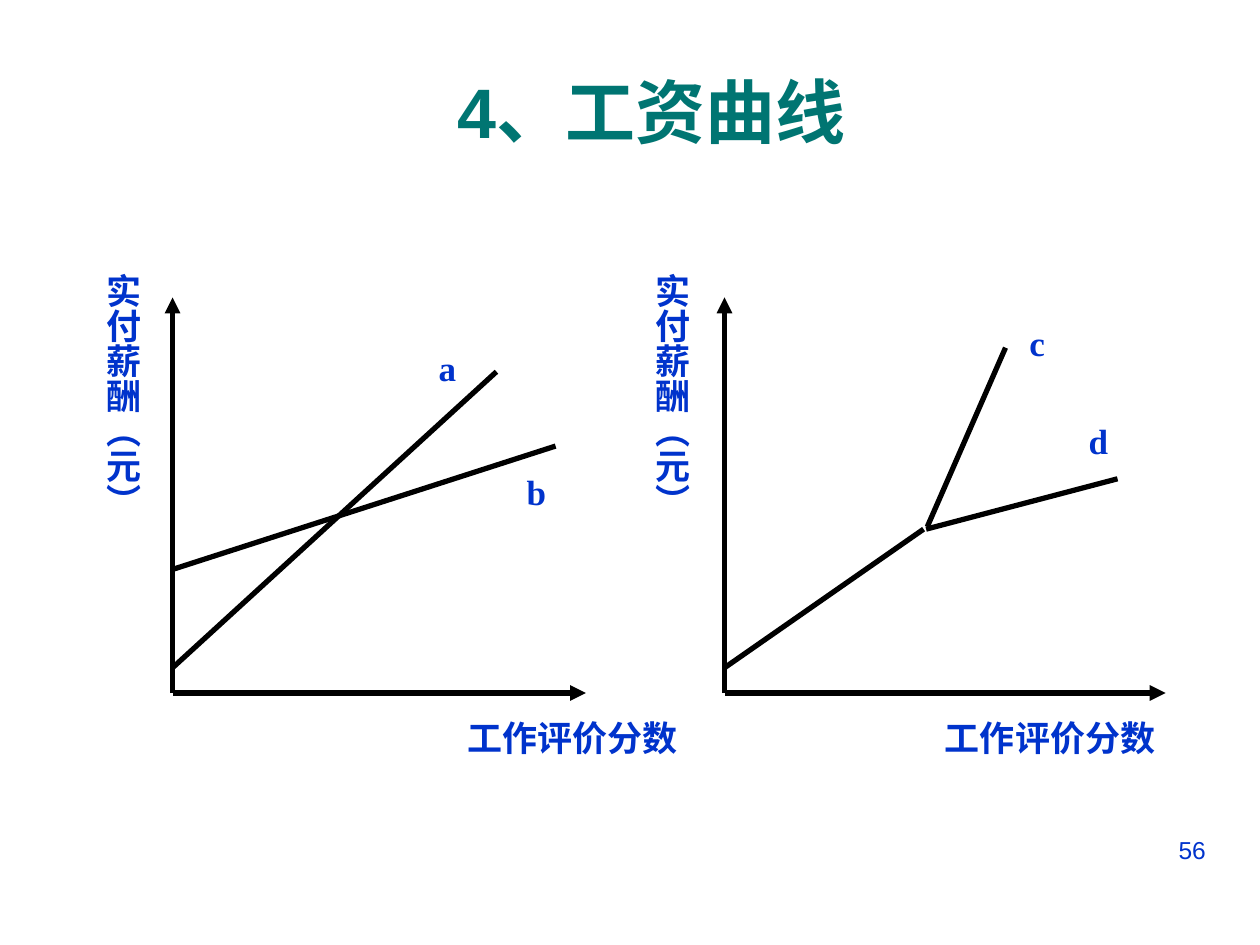
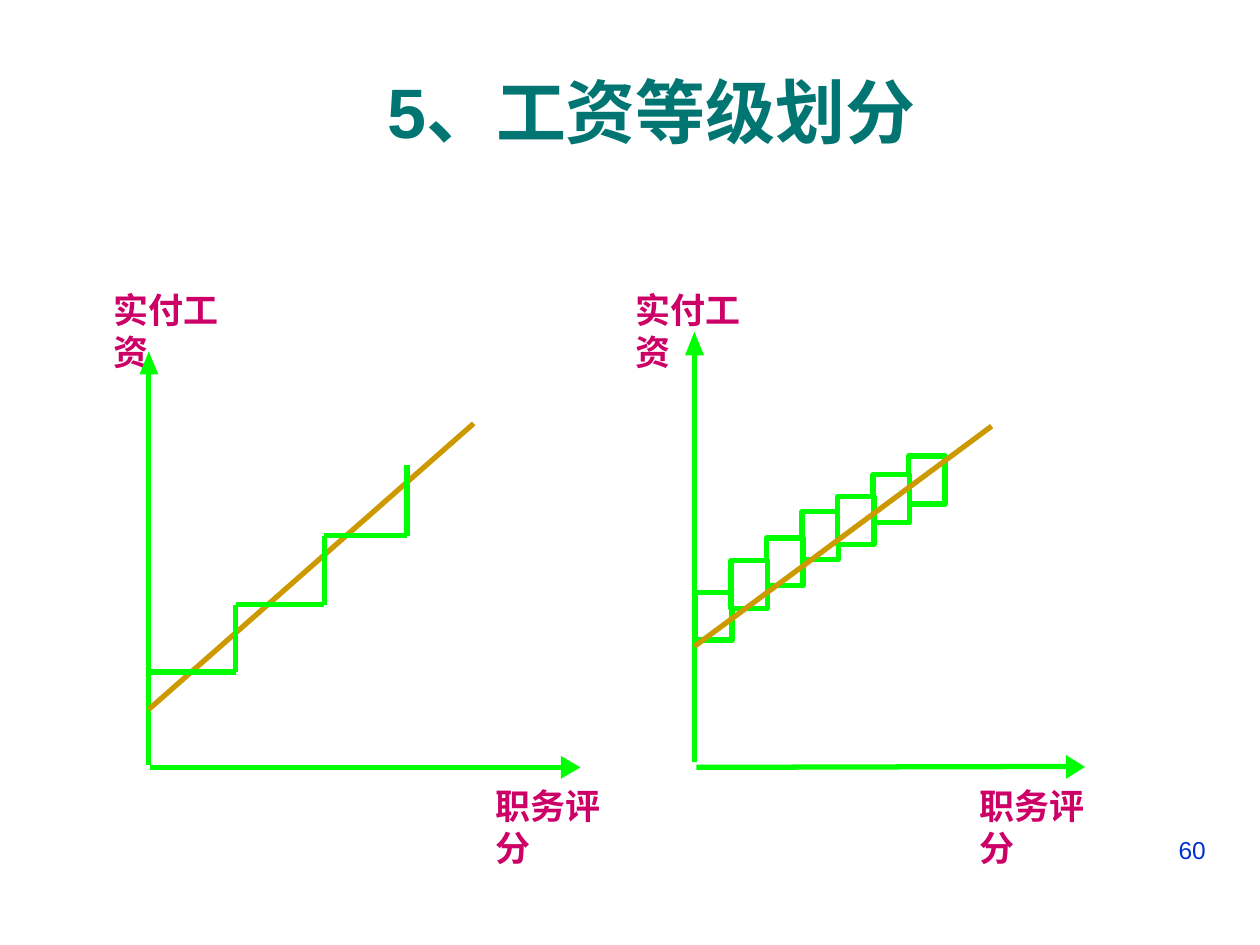
from dataclasses import dataclass
from typing import Any

from lxml.etree import SubElement
from pptx import Presentation
from pptx.dml.color import RGBColor
from pptx.enum.shapes import MSO_CONNECTOR as Connector, MSO_SHAPE as Preset
from pptx.enum.text import MSO_ANCHOR as Anchor, MSO_AUTO_SIZE as AutoSize, PP_ALIGN as Align
from pptx.oxml.ns import qn
from pptx.util import Pt

WHITE = RGBColor(0xFF, 0xFF, 0xFF)
BLACK = RGBColor(0x00, 0x00, 0x00)
TEAL = RGBColor(0x00, 0x75, 0x72)
BLUE = RGBColor(0x00, 0x33, 0xCC)
MAGENTA = RGBColor(0xCC, 0x00, 0x66)
GREEN = RGBColor(0x00, 0xFF, 0x00)
OCHRE = RGBColor(0xCC, 0x99, 0x00)
CJK_FONT = "Noto Sans CJK SC"
LINE_WIDTH = Pt(3)

TITLE_FONT = {"name": "Arial", "size": Pt(40), "bold": True}
NUMBER_FONT = {"name": "Arial", "size": Pt(14), "bold": False}
CURVE_FONT = {"name": "Times New Roman", "size": Pt(20), "bold": True}
GRADE_FONT = {"name": CJK_FONT, "size": Pt(20), "bold": True}
NO_MARGINS = dict.fromkeys(("margin_left", "margin_top", "margin_right", "margin_bottom"), 0)
TITLE_PLACE = {"left": Pt(36), "top": Pt(30.2), "width": Pt(672.5), "height": Pt(66.2)}


@dataclass(frozen=True)
class Label:
    text: str
    left: float
    top: float
    width: float
    height: float = 28
    vertical: bool = False


@dataclass(frozen=True)
class Stroke:
    x1: float
    y1: float
    x2: float
    y2: float
    color: RGBColor = BLACK
    arrow: bool = False


CURVE_AXES = [
    Stroke(414, 396, 666, 396, arrow=True),
    Stroke(414, 396, 414, 170, arrow=True),
    Stroke(98.6, 396, 334.8, 396, arrow=True),
    Stroke(98.6, 396, 98.6, 170, arrow=True),
]
WAGE_CURVES = [
    Stroke(414, 381.6, 527.8, 302.4),
    Stroke(529.2, 302.4, 638.6, 273.6),
    Stroke(529.9, 301, 574.6, 198.7),
    Stroke(98.6, 381.6, 283.7, 212.4),
    Stroke(98.6, 325.4, 317.5, 254.9),
]
CURVE_LABELS = [
    Label("实付薪酬（元）", 360, 156.2, 36, 141, True),
    Label("d", 622.1, 239.8, 18),
    Label("c", 588.2, 183.6, 18),
    Label("工作评价分数", 540, 409.7, 144),
    Label("工作评价分数", 267.1, 409.7, 134.6),
    Label("实付薪酬（元）", 48.2, 156.2, 33.8, 141, True),
    Label("b", 301, 268.6, 16.6),
    Label("a", 250.6, 198, 16.6),
]

GRADE_LABELS = [
    Label("实付工资", 64.8, 165, 80, 24),
    Label("实付工资", 363, 165, 80, 24),
    Label("职务评分", 283, 448, 80, 24),
    Label("职务评分", 559.5, 448, 80, 24),
]
GRADE_AXES = [
    Stroke(85, 437, 85, 213, GREEN),
    Stroke(86, 438.5, 321, 438.5, GREEN),
    Stroke(396.8, 435.6, 396.8, 202, GREEN),
    Stroke(398, 438.5, 610, 438, GREEN),
]
ARROWHEADS = [
    [(90.5, 214), (85, 200.9), (79.7, 214)],
    [(320.6, 445), (331.7, 438.5), (320.6, 432)],
    [(402.3, 203), (396.8, 189.6), (391.5, 203)],
    [(609.2, 445), (620, 438.3), (609.2, 431.5)],
]
GRADE_CURVES = [
    Stroke(85, 405.4, 270.7, 242, OCHRE),
    Stroke(396.8, 369.4, 566.7, 243.5, OCHRE),
]
STEP_EDGES = [85.7, 134.7, 185.4, 232.6]
STEP_LEVELS = [384, 345.6, 306, 265.8]
BAND_LEFT, BAND_PITCH, BAND_WIDTH, BAND_HEIGHT = 397.4, 20.3, 20.9, 27.4
BAND_TOPS = [338.4, 320.3, 307.4, 292.3, 283.7, 271.2, 260.6]
BAND_ORDER = [0, 3, 2, 1, 6, 5, 4]


def apply_format(target: Any, values: dict) -> None:
    for attribute, value in values.items():
        setattr(target, attribute, value)


def write(frame: Any, text: str, font: dict, color: RGBColor, align: Any) -> None:
    paragraph = frame.paragraphs[0]
    paragraph.alignment = align
    run = paragraph.add_run()
    run.text = text
    run.font.color.rgb = color
    apply_format(run.font, font)
    SubElement(run.font._element, qn("a:ea"), typeface=CJK_FONT)


def start_slide(deck: Any, title: str, number: str) -> Any:
    slide = deck.slides.add_slide(deck.slide_layouts[5])
    heading = slide.shapes.title
    apply_format(heading, TITLE_PLACE)
    apply_format(heading.text_frame, {"vertical_anchor": Anchor.MIDDLE, "auto_size": AutoSize.NONE})
    write(heading.text_frame, title, TITLE_FONT, TEAL, Align.CENTER)
    page = slide.shapes.add_textbox(Pt(516.2), Pt(473.8), Pt(180), Pt(37.4))
    page.text_frame.word_wrap = True
    write(page.text_frame, number, NUMBER_FONT, BLUE, Align.RIGHT)
    return slide


def draw_stroke(slide: Any, stroke: Stroke) -> None:
    ends = (Pt(value) for value in (stroke.x1, stroke.y1, stroke.x2, stroke.y2))
    connector = slide.shapes.add_connector(Connector.STRAIGHT, *ends)
    connector.line.color.rgb = stroke.color
    connector.line.width = LINE_WIDTH
    properties = connector._element.spPr
    if stroke.arrow:
        SubElement(properties.find(qn("a:ln")), qn("a:tailEnd"), type="triangle")
    SubElement(properties, qn("a:effectLst"))


def draw_box(slide: Any, left: float, top: float, width: float, height: float) -> Any:
    box = slide.shapes.add_shape(Preset.RECTANGLE, Pt(left), Pt(top), Pt(width), Pt(height))
    box.shadow.inherit = False
    box.fill.solid()
    box.fill.fore_color.rgb = WHITE
    return box


def draw_curve_label(slide: Any, label: Label) -> None:
    box = draw_box(slide, label.left, label.top, label.width, label.height)
    box.line.fill.background()
    frame = box.text_frame
    apply_format(frame, NO_MARGINS | {"word_wrap": True, "vertical_anchor": Anchor.TOP})
    if label.vertical:
        frame._txBody.bodyPr.set("vert", "eaVert")
    write(frame, label.text, CURVE_FONT, BLUE, Align.JUSTIFY)


def draw_grade_label(slide: Any, label: Label) -> None:
    place = (Pt(value) for value in (label.left, label.top, label.width, label.height))
    frame = slide.shapes.add_textbox(*place).text_frame
    apply_format(frame, NO_MARGINS | {"word_wrap": False, "auto_size": AutoSize.SHAPE_TO_FIT_TEXT})
    write(frame, label.text, GRADE_FONT, MAGENTA, Align.LEFT)


def draw_arrowhead(slide: Any, corners: list[tuple[float, float]]) -> None:
    start, *others = [(Pt(x), Pt(y)) for x, y in corners]
    builder = slide.shapes.build_freeform(*start)
    builder.add_line_segments(others, close=True)
    head = builder.convert_to_shape()
    head.shadow.inherit = False
    head.fill.solid()
    head.fill.fore_color.rgb = GREEN
    head.line.fill.background()


def draw_steps(slide: Any) -> None:
    for i, (left, right) in enumerate(zip(STEP_EDGES, STEP_EDGES[1:])):
        level, next_level = STEP_LEVELS[i:i + 2]
        draw_stroke(slide, Stroke(left, level, right, level, GREEN))
        draw_stroke(slide, Stroke(right, level, right, next_level, GREEN))


def draw_bands(slide: Any) -> None:
    for i in BAND_ORDER:
        band = draw_box(slide, BAND_LEFT + i * BAND_PITCH, BAND_TOPS[i], BAND_WIDTH, BAND_HEIGHT)
        band.line.color.rgb = GREEN
        band.line.width = LINE_WIDTH


def build_wage_curves(deck: Any) -> None:
    slide = start_slide(deck, "4、工资曲线", "56")
    for label in CURVE_LABELS:
        draw_curve_label(slide, label)
    for stroke in CURVE_AXES + WAGE_CURVES:
        draw_stroke(slide, stroke)


def build_wage_grades(deck: Any) -> None:
    slide = start_slide(deck, "5、工资等级划分", "60")
    for label in GRADE_LABELS:
        draw_grade_label(slide, label)
    for axis in GRADE_AXES:
        draw_stroke(slide, axis)
    for corners in ARROWHEADS:
        draw_arrowhead(slide, corners)
    step_curve, band_curve = GRADE_CURVES
    draw_stroke(slide, step_curve)
    draw_steps(slide)
    draw_bands(slide)
    draw_stroke(slide, band_curve)


def main() -> None:
    deck = Presentation()
    apply_format(deck, {"slide_width": Pt(720), "slide_height": Pt(540)})
    build_wage_curves(deck)
    build_wage_grades(deck)
    deck.save("out.pptx")


if __name__ == "__main__":
    main()
